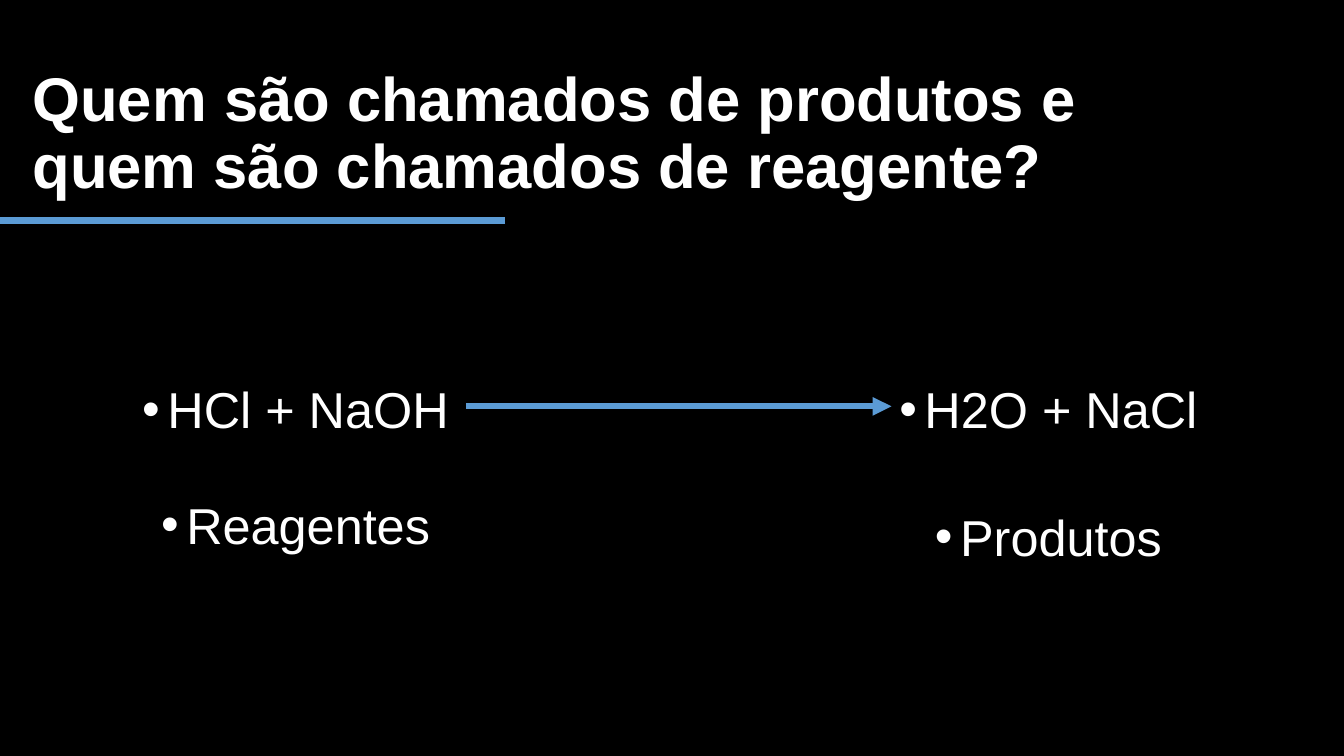
import pptx
import pptx.dml.color
import pptx.enum.shapes
import pptx.enum.text
import pptx.oxml.ns
import pptx.util
from lxml import etree

PX = 9525  # EMU per px, 96 px to the inch
COLORS = {"background": "000000", "text": "FFFFFF", "accent": "5B9BD5"}
FONT = "Arial"


def set_text(sp, text, size, bold=False):
    tf = sp.text_frame
    tf.text = text
    tf.word_wrap = True
    tf.auto_size = pptx.enum.text.MSO_AUTO_SIZE.SHAPE_TO_FIT_TEXT
    tf.vertical_anchor = pptx.enum.text.MSO_ANCHOR.MIDDLE
    tf.margin_left = tf.margin_top = tf.margin_right = tf.margin_bottom = 0
    p = tf.paragraphs[0]
    font = p.runs[0].font
    font.name, font.size, font.bold = FONT, pptx.util.Pt(size), bold
    font.color.rgb = pptx.dml.color.RGBColor.from_string(COLORS["text"])
    return p


def add_line(x1, x2, y):
    line = slide.shapes.add_connector(
        pptx.enum.shapes.MSO_CONNECTOR.STRAIGHT, x1 * PX, y * PX, x2 * PX, y * PX)
    line.line.color.rgb = pptx.dml.color.RGBColor.from_string(COLORS["accent"])
    line.line.width = pptx.util.Pt(4.5)
    etree.SubElement(line._element.spPr, pptx.oxml.ns.qn("a:effectLst"))
    return line


prs = pptx.Presentation()
prs.slide_width, prs.slide_height = 1280 * PX, 720 * PX
slide = prs.slides.add_slide(prs.slide_layouts[5])
slide.background.fill.solid()
slide.background.fill.fore_color.rgb = pptx.dml.color.RGBColor.from_string(
    COLORS["background"])

# Title and its underline
title = slide.shapes.title
title.left, title.top, title.width, title.height = 31 * PX, 64 * PX, 1086 * PX, 129 * PX
p = set_text(title, "Quem são chamados de produtos e quem são chamados de reagente?",
             44, bold=True)
p.alignment = pptx.enum.text.PP_ALIGN.LEFT
p.line_spacing = 0.9
add_line(481, -23, 210)

# Both sides of the equation with their labels
for text, x, y, height in [
    ("HCl + NaOH", 123, 327, 96),
    ("H2O + NaCl", 840, 327, 96),
    ("Reagentes", 123, 445, 80),
    ("Produtos", 840, 456, 80),
]:
    sp = slide.shapes.add_textbox(x * PX, y * PX, 317 * PX, height * PX)
    p = set_text(sp, text, 36)
    p.alignment = pptx.enum.text.PP_ALIGN.CENTER
    p.line_spacing = 1.5
    p.space_before = pptx.util.Pt(10)
    pPr = p._p.get_or_add_pPr()
    pPr.set("marL", str(24 * PX))
    pPr.set("indent", str(-24 * PX))
    etree.SubElement(pPr, pptx.oxml.ns.qn("a:buFont"), typeface=FONT)
    etree.SubElement(pPr, pptx.oxml.ns.qn("a:buChar"), char="•")

# Reaction arrow
arrow = add_line(444, 849, 387)
etree.SubElement(arrow.line._get_or_add_ln(), pptx.oxml.ns.qn("a:tailEnd"), type="triangle")

prs.save("out.pptx")
